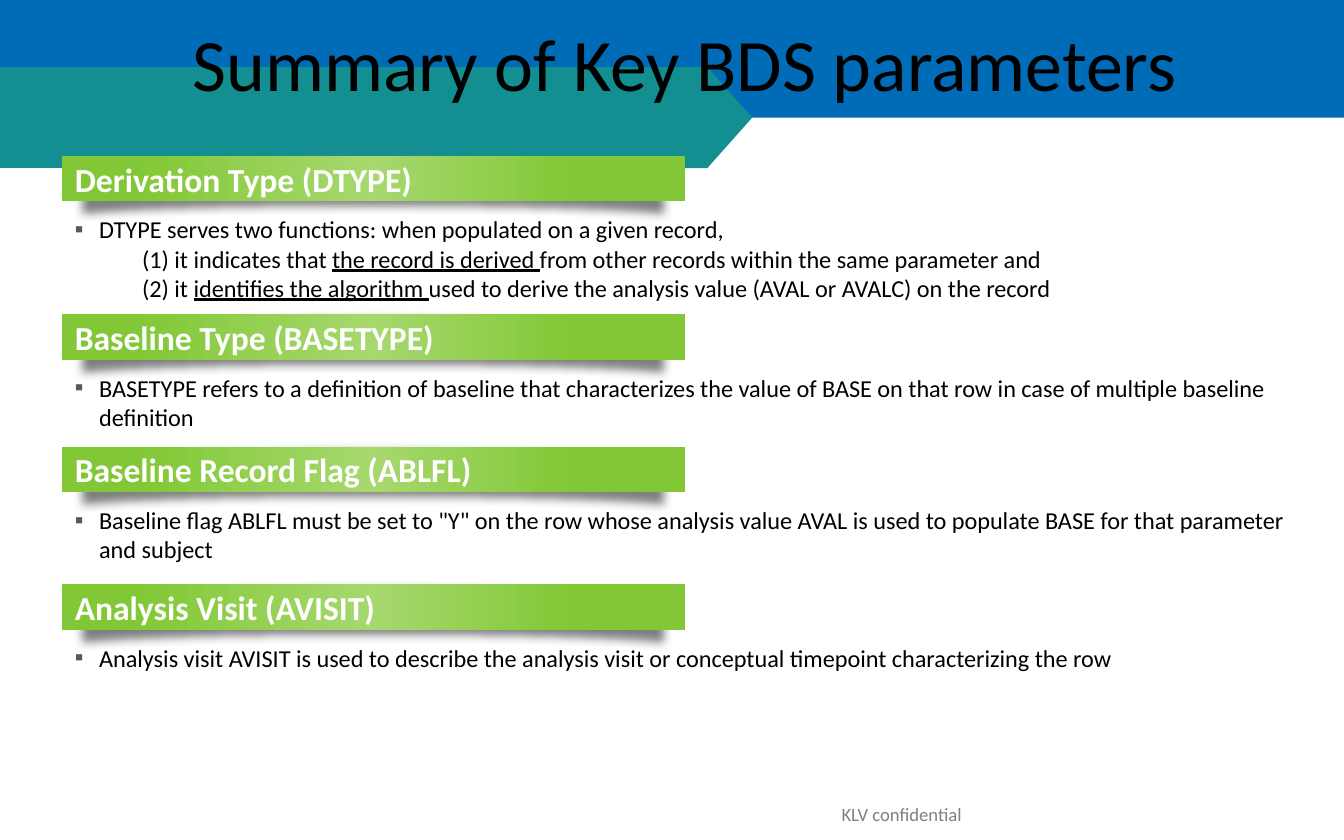
from typing import NamedTuple

from lxml import etree
from pptx import Presentation
from pptx.dml.color import RGBColor
from pptx.enum.shapes import MSO_SHAPE as Shape
from pptx.enum.text import MSO_ANCHOR as Anchor, MSO_AUTO_SIZE as AutoSize, PP_ALIGN as Align
from pptx.oxml import parse_xml
from pptx.oxml.ns import nsdecls, qn
from pptx.util import Pt

FONT = "Calibri"
BLUE = RGBColor(0x00, 0x6B, 0xB6)
TEAL = RGBColor(0x13, 0x8F, 0x91)
GREEN = RGBColor(0x82, 0xC8, 0x36)
LIGHT_GREEN = RGBColor(0xA6, 0xD8, 0x6E)
GRAY = RGBColor(0x80, 0x80, 0x80)
BULLET_GRAY = RGBColor(0x59, 0x59, 0x59)
BLACK = RGBColor(0, 0, 0)
WHITE = RGBColor(0xFF, 0xFF, 0xFF)

LEFT = 33
BAR_W, BAR_H = 334, 24.5
SHADE_W, SHADE_H = 321, 40
SHADE_DROP = 18  # bar top to shade centre
BODY_DROP = 28  # bar top to body top
BODY_W = 666


class Run(NamedTuple):
    text: str
    underline: bool = False


class Section(NamedTuple):
    top: float
    body_h: float
    heading: str
    bullet: str
    details: tuple[tuple[Run, ...], ...] = ()


SECTIONS = (
    Section(83.5, 54.7, "Derivation Type (DTYPE)",
            "DTYPE serves two functions: when populated on a given record,",
            ((Run("(1) it indicates that "), Run("the record is derived ", True),
              Run("from other records within the same parameter and")),
             (Run("(2) it "), Run("identifies the algorithm ", True),
              Run("used to derive the analysis value (AVAL or AVALC) on the record")))),
    Section(168.3, 39, "Baseline Type (BASETYPE)",
            "BASETYPE refers to a definition of baseline that characterizes the value of BASE "
            "on that row in case of multiple baseline definition"),
    Section(239.3, 39, "Baseline Record Flag (ABLFL)",
            'Baseline flag ABLFL must be set to "Y" on the row whose analysis value AVAL is used '
            "to populate BASE for that parameter and subject"),
    Section(313, 23, "Analysis Visit (AVISIT)",
            "Analysis visit AVISIT is used to describe the analysis visit or conceptual timepoint "
            "characterizing the row"),
)


def style(font, size: float, color: RGBColor, bold: bool = False) -> None:
    font.name, font.size, font.bold = FONT, Pt(size), bold
    font.color.rgb = color


def paint(sp, color: RGBColor) -> None:
    sp.shadow.inherit = False
    sp.fill.solid()
    sp.fill.fore_color.rgb = color
    sp.line.fill.background()


def add_block(shapes, kind, x: float, y: float, w: float, h: float, color: RGBColor):
    sp = shapes.add_shape(kind, Pt(x), Pt(y), Pt(w), Pt(h))
    paint(sp, color)
    return sp


def add_text(s, x: float, y: float, w: float, h: float):
    tf = s.shapes.add_textbox(Pt(x), Pt(y), Pt(w), Pt(h)).text_frame
    tf.word_wrap = True
    return tf


def add_line(s, x: float, y: float, w: float, h: float, text: str, size: float, color: RGBColor):
    """Add a centred single-line text box."""
    tf = add_text(s, x, y, w, h)
    tf.text = text
    p = tf.paragraphs[0]
    p.alignment = Align.CENTER
    style(p.runs[0].font, size, color)
    return tf


def set_sheen(sp) -> None:
    """Give the bar a green fill that is lighter in the middle."""
    stops = "".join(f'<a:gs pos="{pos}000"><a:srgbClr val="{color}"/></a:gs>'
                    for pos, color in ((18, GREEN), (50, LIGHT_GREEN), (88, GREEN)))
    solid = sp._element.spPr.find(qn("a:solidFill"))
    solid.getparent().replace(solid, parse_xml(
        f'<a:gradFill {nsdecls("a")} rotWithShape="1"><a:gsLst>{stops}</a:gsLst>'
        '<a:lin ang="10800000" scaled="0"/></a:gradFill>'))


def soften(sp, radius: float) -> None:
    effects = sp._element.spPr.find(qn("a:effectLst"))
    etree.SubElement(effects, qn("a:softEdge"), rad=str(Pt(radius)))


def set_indent(p, left: float, first: float = 0) -> None:
    pPr = p._p.get_or_add_pPr()
    pPr.set("marL", str(Pt(left)))
    pPr.set("indent", str(Pt(first)))


def set_bullet(p) -> None:
    set_indent(p, 13, -13)
    pPr = p._p.get_or_add_pPr()
    color = etree.SubElement(pPr, qn("a:buClr"))
    etree.SubElement(color, qn("a:srgbClr"), val=str(BULLET_GRAY))
    etree.SubElement(pPr, qn("a:buFont"), typeface=FONT)
    etree.SubElement(pPr, qn("a:buChar"), char="▪")


def add_bar(s, section: Section) -> None:
    """Draw a heading bar over its soft shade."""
    shapes = s.shapes.add_group_shape().shapes
    shade = add_block(shapes, Shape.FLOWCHART_STORED_DATA,
                      LEFT + (BAR_W - SHADE_H) / 2,
                      section.top + SHADE_DROP - SHADE_W / 2, SHADE_H, SHADE_W, GRAY)
    shade.rotation = 90
    soften(shade, 5)
    bar = add_block(shapes, Shape.RECTANGLE, LEFT, section.top, BAR_W, BAR_H, GREEN)
    set_sheen(bar)
    tf = bar.text_frame
    tf.text = section.heading
    tf.vertical_anchor = Anchor.MIDDLE
    p = tf.paragraphs[0]
    p.alignment = Align.LEFT
    style(p.runs[0].font, 18, WHITE, bold=True)


def add_body(s, section: Section) -> None:
    tf = add_text(s, LEFT, section.top + BODY_DROP, BODY_W, section.body_h)
    tf.auto_size = AutoSize.SHAPE_TO_FIT_TEXT
    tf.text = section.bullet
    set_bullet(tf.paragraphs[0])
    for detail in section.details:
        p = tf.add_paragraph()
        p.level = 1
        set_indent(p, 36)
        for part in detail:
            r = p.add_run()
            r.text = part.text
            r.font.underline = part.underline
    for p in tf.paragraphs:
        for r in p.runs:
            style(r.font, 13, BLACK)


def add_banner(s) -> None:
    add_block(s.shapes, Shape.RECTANGLE, 0, 0, 720, 63, BLUE)
    add_block(s.shapes, Shape.RECTANGLE, 0, 36, 177, 54, TEAL)
    builder = s.shapes.build_freeform(Pt(379), Pt(36))
    builder.add_line_segments([(Pt(x), Pt(y)) for x, y in
                               ((403, 63), (379, 90), (111.5, 90), (111.5, 36))])
    paint(builder.convert_to_shape(), TEAL)


def main() -> None:
    prs = Presentation()
    prs.slide_width, prs.slide_height = Pt(720), Pt(450)
    s = prs.slides.add_slide(prs.slide_layouts[6])
    add_banner(s)
    title = add_line(s, 31.7, 4.3, 670.3, 42.5, "Summary of Key BDS parameters", 39.6, BLACK)
    title.margin_top = Pt(5)
    for section in SECTIONS:
        add_bar(s, section)
        add_body(s, section)
    footer = add_line(s, 372, 427.7, 222, 16.5, "KLV confidential", 10, GRAY)
    footer.word_wrap = False
    footer.vertical_anchor = Anchor.MIDDLE
    prs.save("out.pptx")


if __name__ == "__main__":
    main()
